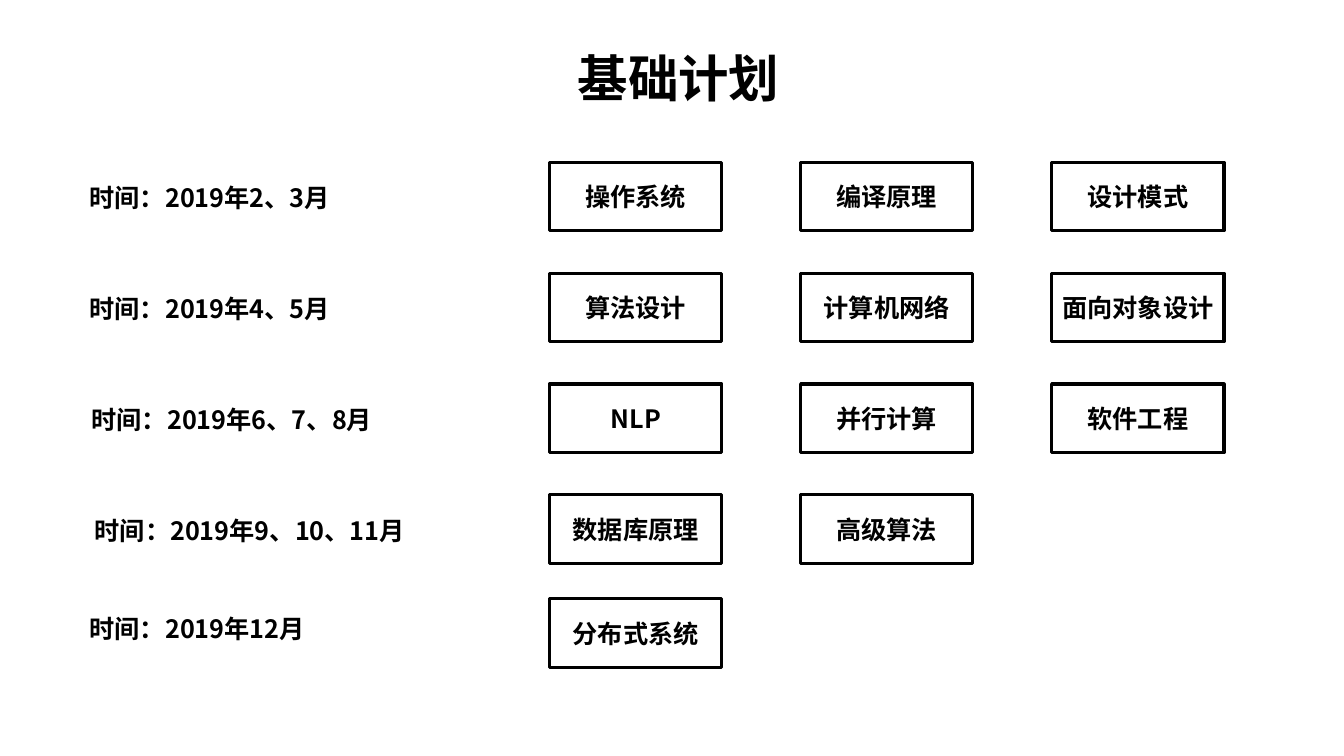
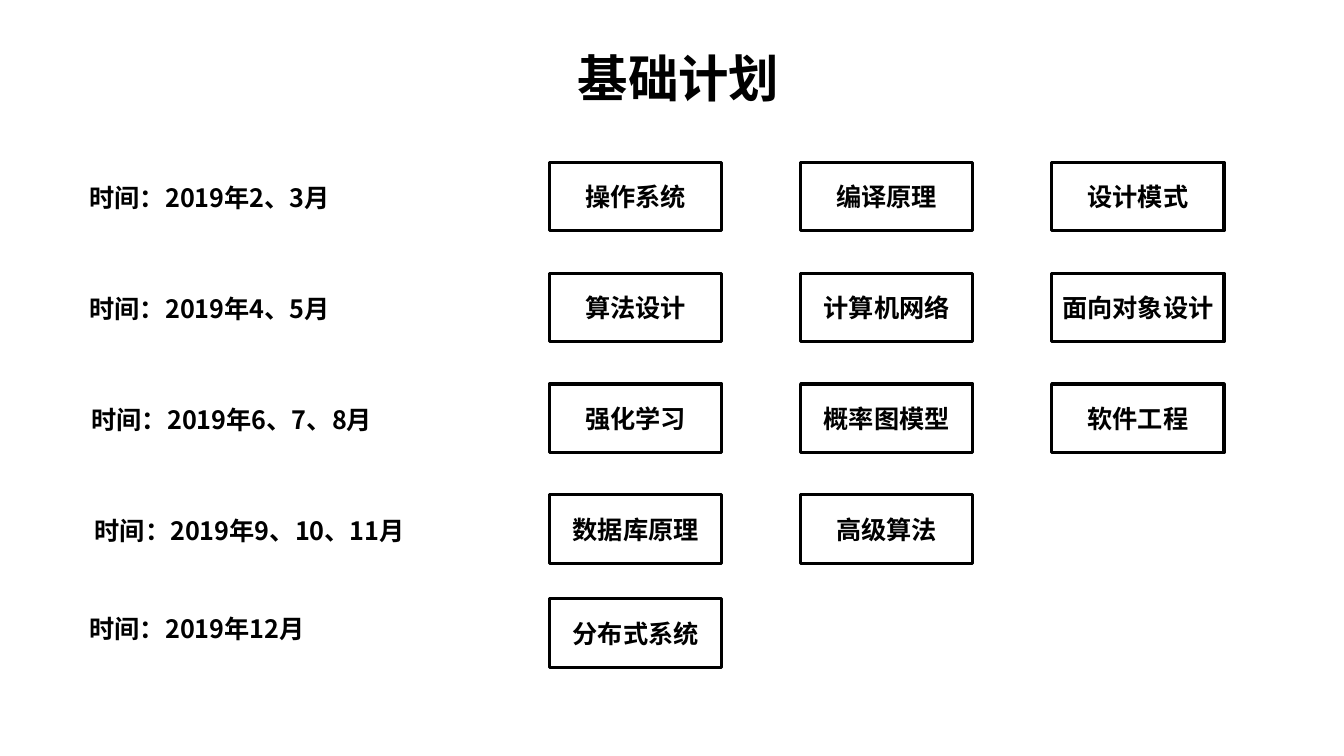
from dataclasses import dataclass

from lxml import etree
from pptx import Presentation
from pptx.dml.color import RGBColor
from pptx.enum.shapes import MSO_SHAPE
from pptx.enum.text import MSO_ANCHOR, MSO_AUTO_SIZE, PP_ALIGN
from pptx.oxml.ns import qn
from pptx.slide import Slide
from pptx.text.text import TextFrame
from pptx.util import Inches, Pt

RECT = MSO_SHAPE.RECTANGLE
MIDDLE = MSO_ANCHOR.MIDDLE
LEFT, CENTER = PP_ALIGN.LEFT, PP_ALIGN.CENTER
NO_AUTOFIT = MSO_AUTO_SIZE.NONE

BLACK = RGBColor(0x00, 0x00, 0x00)
CJK_FONT = "Noto Sans CJK SC"
LATIN_FONT = "Arial"
TITLE_SIZE, BODY_SIZE = 36, 18

SLIDE_W, SLIDE_H = 13.33, 7.5
TITLE = "基础计划"
TITLE_BOX = (3.1, 0.42, 7.26, 0.7)
TITLE_ONLY = 5

# Grid of topic boxes, in inches
GRID_LEFT, GRID_TOP = 5.45, 1.61
COL_PITCH, ROW_PITCH = 2.49, 1.1
BOX_W, BOX_H = 1.71, 0.68
LABEL_W, LABEL_H = 4.1, 0.4
LABEL_DROP = 0.15


@dataclass(frozen=True)
class Topic:
    name: str
    font: str = CJK_FONT


@dataclass(frozen=True)
class Period:
    """One row; the lifts raise its boxes and its label above the grid."""
    months: str
    topics: tuple[Topic, ...]
    label_left: float = 0.79
    box_lift: float = 0
    label_lift: float = 0


def topics(*names: str) -> tuple[Topic, ...]:
    return tuple(Topic(name) for name in names)


def plan(summer: tuple[Topic, ...]) -> list[Period]:
    """The year's periods; only the summer topics vary between slides."""
    return [
        Period("2、3月", topics("操作系统", "编译原理", "设计模式")),
        Period("4、5月", topics("算法设计", "计算机网络", "面向对象设计")),
        Period("6、7、8月", summer + topics("软件工程"), label_left=0.81),
        Period("9、10、11月", topics("数据库原理", "高级算法"), label_left=0.84),
        Period("12月", topics("分布式系统"), box_lift=0.07, label_lift=0.13),
    ]


PLANS = [
    plan(topics("NLP", "并行计算")),
    plan((Topic("强化学习", LATIN_FONT), Topic("概率图模型", LATIN_FONT))),
]


def inches(*lengths: float) -> list[int]:
    return [Inches(length) for length in lengths]


def write(tf: TextFrame, text: str, size: float = BODY_SIZE,
          font: str = CJK_FONT, align: PP_ALIGN = CENTER) -> None:
    tf.word_wrap = True
    tf.auto_size = NO_AUTOFIT
    tf.vertical_anchor = MIDDLE
    p = tf.paragraphs[0]
    p.alignment = align
    r = p.add_run()
    r.text = text
    r.font.size = Pt(size)
    r.font.bold = True
    r.font.color.rgb = BLACK
    r.font.name = font
    ea = etree.SubElement(r._r.get_or_add_rPr(), qn("a:ea"))
    ea.set("typeface", CJK_FONT)


def add_title(s: Slide) -> None:
    title = s.shapes.title
    title.left, title.top, title.width, title.height = inches(*TITLE_BOX)
    write(title.text_frame, TITLE, TITLE_SIZE)


def add_topic(s: Slide, topic: Topic, left: float, top: float) -> None:
    sp = s.shapes.add_shape(RECT, *inches(left, top, BOX_W, BOX_H))
    sp.shadow.inherit = False
    sp.fill.background()
    sp.line.color.rgb = BLACK
    sp.line.width = Pt(2.25)
    tf = sp.text_frame
    tf.margin_left = tf.margin_right = Inches(0.05)
    write(tf, topic.name, font=topic.font)


def add_period(s: Slide, row: int, period: Period) -> None:
    top = GRID_TOP + row * ROW_PITCH
    label_top = top + LABEL_DROP - period.label_lift
    label = s.shapes.add_textbox(
        *inches(period.label_left, label_top, LABEL_W, LABEL_H))
    write(label.text_frame, f"时间：2019年{period.months}", align=LEFT)
    for col, topic in enumerate(period.topics):
        add_topic(s, topic, GRID_LEFT + col * COL_PITCH, top - period.box_lift)


def main() -> None:
    prs = Presentation()
    prs.slide_width, prs.slide_height = inches(SLIDE_W, SLIDE_H)
    for periods in PLANS:
        s = prs.slides.add_slide(prs.slide_layouts[TITLE_ONLY])
        add_title(s)
        for row, period in enumerate(periods):
            add_period(s, row, period)
    prs.save("out.pptx")


if __name__ == "__main__":
    main()
